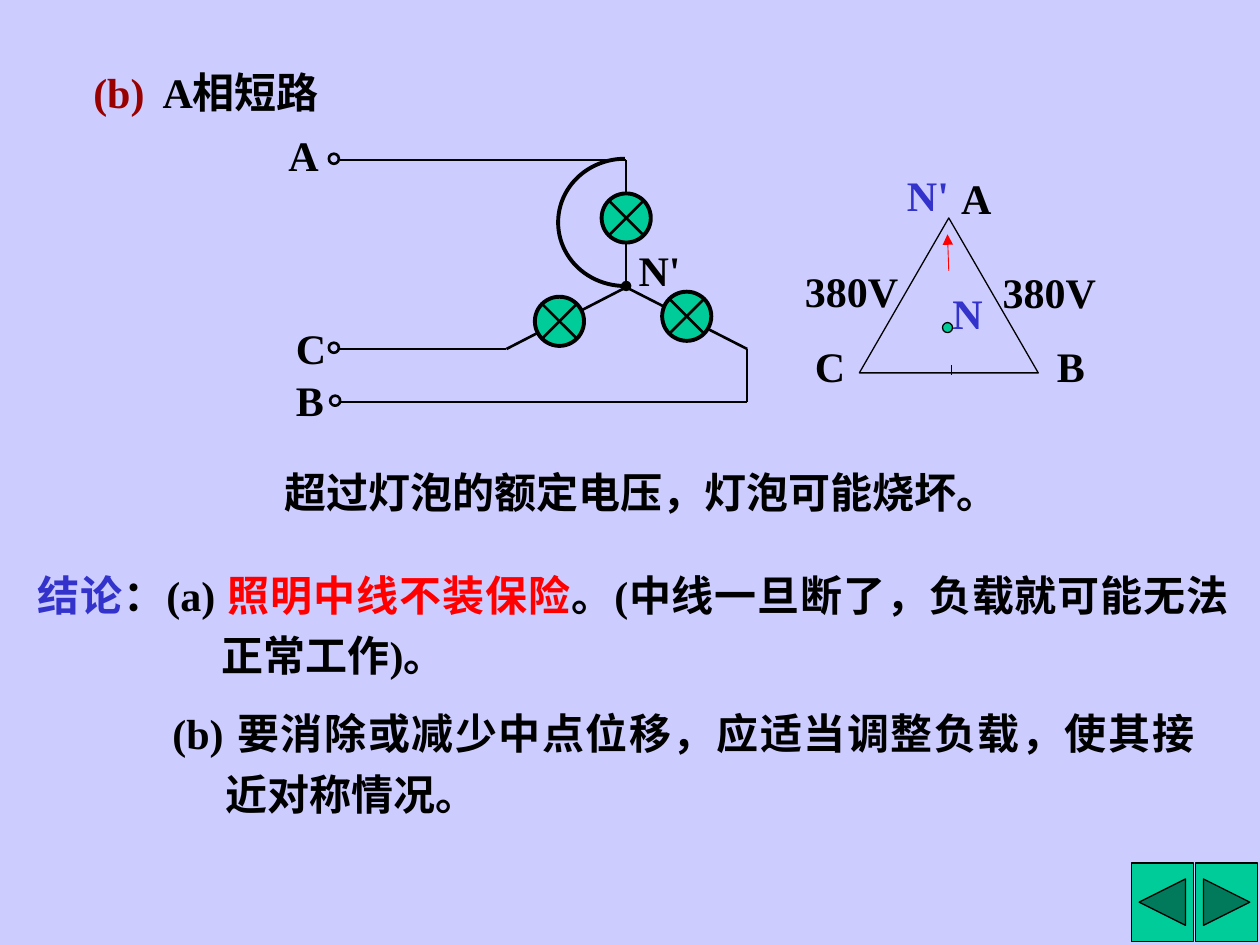
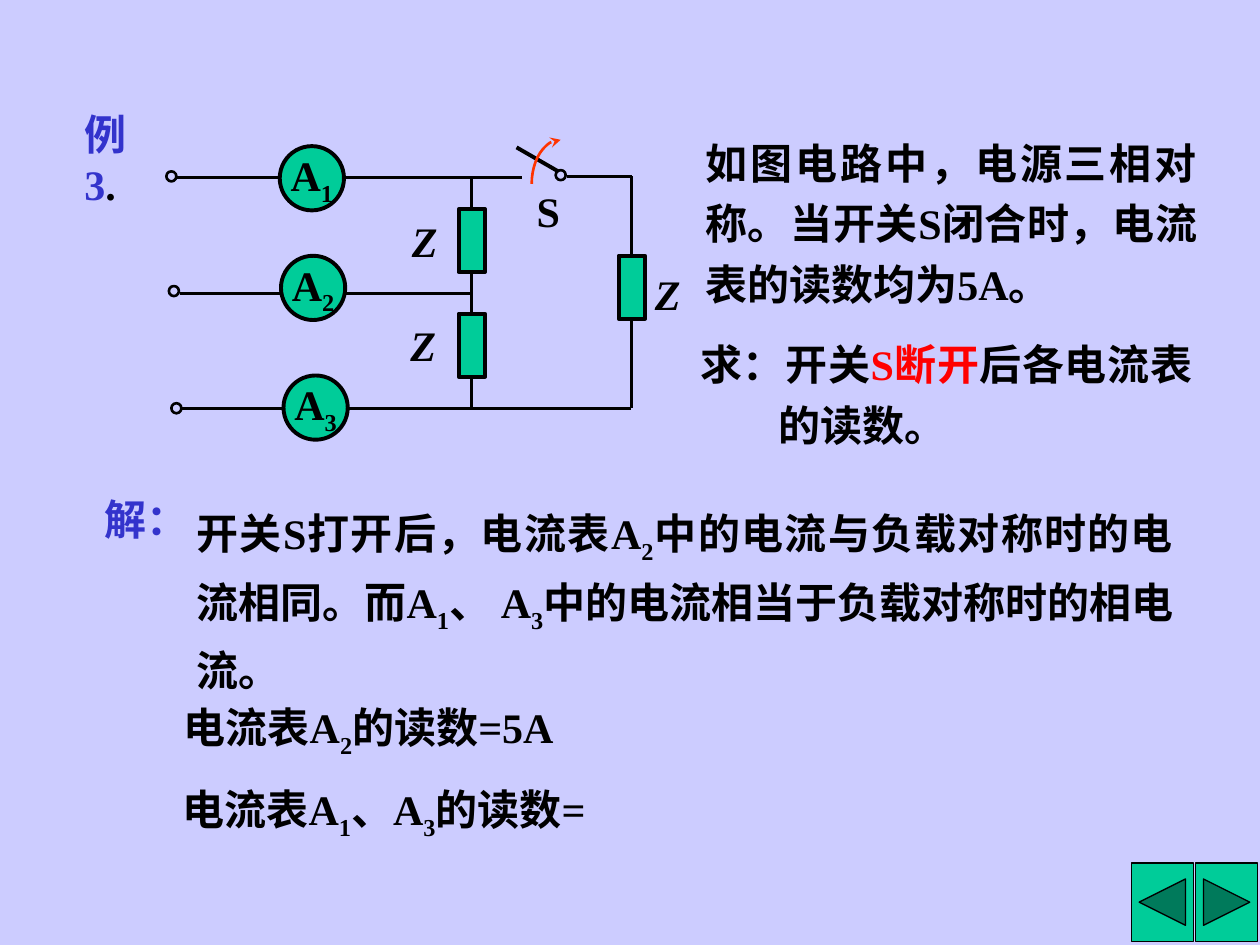
from lxml import etree
from pptx import Presentation
from pptx.dml.color import RGBColor
from pptx.enum.shapes import MSO_CONNECTOR, MSO_SHAPE
from pptx.enum.text import MSO_ANCHOR, MSO_AUTO_SIZE, PP_ALIGN
from pptx.oxml.ns import qn
from pptx.util import Inches, Pt

ELLIPSE = MSO_SHAPE.OVAL
RECTANGLE = MSO_SHAPE.RECTANGLE
TRIANGLE = MSO_SHAPE.ISOSCELES_TRIANGLE
ARC = MSO_SHAPE.ARC
BACK = MSO_SHAPE.ACTION_BUTTON_BACK_OR_PREVIOUS
FORWARD = MSO_SHAPE.ACTION_BUTTON_FORWARD_OR_NEXT
STRAIGHT = MSO_CONNECTOR.STRAIGHT
LEFT, CENTER, JUSTIFY = PP_ALIGN.LEFT, PP_ALIGN.CENTER, PP_ALIGN.JUSTIFY
TOP, MIDDLE = MSO_ANCHOR.TOP, MSO_ANCHOR.MIDDLE
GROW, FIXED = MSO_AUTO_SIZE.SHAPE_TO_FIT_TEXT, MSO_AUTO_SIZE.NONE
TITLE_ONLY = 5

COLORS = {
    "background": "CCCCFF", "green": "00CC99", "ink": "000000", "blue": "3333CC",
    "red": "FF0000", "maroon": "990000", "orange": "FF3300",
}
FONT = {"name": "Times New Roman", "size": Pt(24), "bold": True}
LABEL_HEIGHT = 0.5
TERMINAL = 0.08
LAMP = 0.39
LAMP_CROSS = 0.135
AMMETER = 0.51
LOAD_SIZE = (0.21, 0.5)

NAVIGATION = [(BACK, 8.98), (FORWARD, 9.49)]

SHORT_CIRCUIT = {
    "title": ((0.64, 0.48, 2.02, 0.5), [("(b)", "maroon"), ("\tA相短路", "ink")], 0.55),
    "labels": [
        ("380V", 6.29, 2.06, 0.94, "ink"), ("380V", 7.86, 2.07, 0.94, "ink"),
        ("A", 7.53, 1.32, 0.44, "ink"), ("B", 8.29, 2.65, 0.42, "ink"),
        ("C", 6.37, 2.65, 0.44, "ink"), ("N'", 7.1, 1.3, 0.53, "blue"),
        ("N", 7.46, 2.23, 0.44, "blue"), ("N'", 4.97, 1.89, 0.53, "ink"),
        ("A", 2.19, 0.98, 0.44, "ink"), ("C", 2.25, 2.51, 0.44, "ink"),
        ("B", 2.25, 2.92, 0.42, "ink"),
        ("超过灯泡的额定电压，灯泡可能烧坏。", 2.16, 3.65, 5.87, "ink"),
    ],
    "wires": [
        (4.97, 2.28, 5.93, 2.77), (4.02, 2.77, 4.97, 2.28), (4.97, 1.27, 2.7, 1.27),
        (5.93, 3.19, 2.69, 3.19), (5.93, 2.77, 5.93, 3.19), (4.02, 2.77, 2.69, 2.77),
    ],
    "terminals": [(2.61, 1.22), (2.61, 2.72), (2.62, 3.14)],
    "paragraphs": [
        ((0.2, 4.39, 9.65, 1.06), 1.46, [
            ("结论", "blue"), ("：(a) ", "ink"), ("照明中线不装保险", "red"),
            ("。(中线一旦断了，负载就可能无法正常工作)。", "ink")]),
        ((1.27, 5.49, 8.31, 1.06), 0.42, [
            ("(b) 要消除或减少中点位移，应适当调整负载，使其接近对称情况。", "ink")]),
    ],
}
LAMP_CENTERS = [(4.97, 1.73), (5.45, 2.51), (4.44, 2.55)]

EXAMPLE = {
    "title": ((0.57, 0.81, 0.78, 0.5), [("例3", "blue"), (".", "ink")], None),
    "labels": [
        ("Z", 3.17, 1.66, 0.4, "italic"), ("Z", 3.16, 2.49, 0.4, "italic"),
        ("Z", 5.1, 2.08, 0.4, "italic"), ("S", 4.16, 1.42, 0.39, "ink"),
        ("解：", 0.73, 3.87, 0.87, "blue"),
    ],
    "wires": [
        (3.74, 1.41, 3.74, 3.24), (1.4, 1.41, 4.14, 1.41), (1.43, 2.33, 3.74, 2.33),
        (1.44, 3.24, 5.01, 3.24), (5.01, 1.4, 5.01, 3.24), (4.5, 1.4, 5.02, 1.4),
    ],
    "terminals": [(1.32, 1.36), (1.34, 2.27), (1.36, 3.2), (4.41, 1.35)],
    "paragraphs": [
        ((5.5, 0.96, 4.1, 1.54), 0, [
            ("如图电路中，电源三相对称。当开关S闭合时，电流表的读数均为5A。", "ink")]),
        ((5.46, 2.56, 4.1, 1.06), 0.62, [
            ("求：开关", "ink"), ("S断开", "red"), ("后各电流表的读数。", "ink")]),
        ((1.46, 3.89, 7.95, 1.54), 0, [
            ("开关S打开后，电流表A", "ink"), ("2", "subscript"),
            ("中的电流与负载对称时的电流相同。而A", "ink"), ("1", "subscript"),
            ("、 A", "ink"), ("3", "subscript"),
            ("中的电流相当于负载对称时的相电流。", "ink")]),
        ((1.36, 5.43, 3.49, 0.58), 0, [
            ("电流表A", "ink"), ("2", "subscript"), ("的读数=5A", "ink")]),
        ((1.35, 6.08, 3.49, 0.58), 0, [
            ("电流表A", "ink"), ("1", "subscript"), ("、A", "ink"),
            ("3", "subscript"), ("的读数=", "ink")]),
    ],
}
LOADS = [(3.64, 2.49), (4.91, 2.03), (3.64, 1.66)]
AMMETERS = [("1", 2.22, 1.16), ("2", 2.23, 2.03), ("3", 2.25, 2.98)]


def color(name):
    return RGBColor.from_string(COLORS[name])


def set_format(target, values):
    for name, value in values.items():
        setattr(target, name, value)


def write_runs(paragraph, runs):
    for text, style in runs:
        run = paragraph.add_run()
        run.text = text
        set_format(run.font, FONT)
        run.font.color.rgb = color(style if style in COLORS else "ink")
        if style == "italic":
            run.font.italic = True
        if style == "subscript":
            run.font._element.set("baseline", "-25000")


def add_text(slide, box, runs, wrap=True, indent=0, **paragraph_format):
    shape = slide.shapes.add_textbox(*map(Inches, box))
    set_format(shape.text_frame, {"word_wrap": wrap, "auto_size": GROW})
    paragraph = shape.text_frame.paragraphs[0]
    set_format(paragraph, paragraph_format)
    if indent:
        properties = paragraph._p.get_or_add_pPr()
        properties.set("marL", str(Inches(indent)))
        properties.set("indent", str(-Inches(indent)))
    write_runs(paragraph, runs)


def add_shape(slide, kind, box, fill=None, width=0.75, line="ink"):
    shape = slide.shapes.add_shape(kind, *map(Inches, box))
    shape.shadow.inherit = False
    if fill:
        shape.fill.solid()
        shape.fill.fore_color.rgb = color(fill)
    else:
        shape.fill.background()
    shape.line.color.rgb = color(line)
    shape.line.width = Pt(width)
    return shape


def add_tail(shape, kind):
    etree.SubElement(shape.element.spPr.get_or_add_ln(), qn("a:tailEnd"), type=kind)


def add_line(slide, ends, width=1.5, line="ink", tail=None):
    connector = slide.shapes.add_connector(STRAIGHT, *map(Inches, ends))
    connector.line.color.rgb = color(line)
    connector.line.width = Pt(width)
    if tail:
        add_tail(connector, tail)
    etree.SubElement(connector.element.spPr, qn("a:effectLst"))


def add_arc(slide, box, start, end, width, line="ink"):
    arc = add_shape(slide, ARC, box, width=width, line=line)
    for index, degrees in enumerate((start, end)):
        arc.adjustments[index] = degrees * 0.6
    return arc


def add_title(slide, box, runs, tab):
    title = slide.shapes.title
    places = dict(zip(("left", "top", "width", "height"), map(Inches, box)))
    set_format(title, places)
    set_format(title.text_frame, {
        "word_wrap": True, "auto_size": FIXED, "vertical_anchor": TOP})
    paragraph = title.text_frame.paragraphs[0]
    paragraph.alignment = LEFT
    if tab:
        tabs = etree.SubElement(paragraph._p.get_or_add_pPr(), qn("a:tabLst"))
        etree.SubElement(tabs, qn("a:tab"), pos=str(Inches(tab)), algn="l")
    write_runs(paragraph, runs)


def add_content(presentation, content):
    slide = presentation.slides.add_slide(presentation.slide_layouts[TITLE_ONLY])
    add_title(slide, *content["title"])
    for ends in content["wires"]:
        add_line(slide, ends)
    for left, top in content["terminals"]:
        add_shape(slide, ELLIPSE, (left, top, TERMINAL, TERMINAL), width=1.5)
    for text, left, top, width, style in content["labels"]:
        add_text(slide, (left, top, width, LABEL_HEIGHT), [(text, style)], wrap=False)
    for box, indent, runs in content["paragraphs"]:
        add_text(slide, box, runs, indent=indent, alignment=JUSTIFY, line_spacing=1.2)
    return slide


def draw_lamp(slide, x, y):
    add_shape(slide, ELLIPSE, (x - LAMP / 2, y - LAMP / 2, LAMP, LAMP), "green", 2.25)
    for slope in (1, -1):
        rise = LAMP_CROSS * slope
        add_line(slide, (x - LAMP_CROSS, y - rise, x + LAMP_CROSS, y + rise))


def draw_short_circuit(slide):
    add_line(slide, (4.97, 1.27, 4.97, 2.27), tail="oval")
    for center in LAMP_CENTERS:
        draw_lamp(slide, *center)
    add_arc(slide, (4.43, 1.26, 1.06, 1.01), 90, 270, 2.25)
    add_shape(slide, TRIANGLE, (6.82, 1.73, 1.42, 1.23))
    add_line(slide, (7.55, 2.9, 7.55, 2.98), 0.75)
    add_shape(slide, ELLIPSE, (7.48, 2.56, 0.08, 0.08), "green")
    add_line(slide, (7.53, 2.15, 7.52, 1.86), 0.5, "red", "triangle")


def draw_ammeter_circuit(slide):
    for position in LOADS:
        add_shape(slide, RECTANGLE, position + LOAD_SIZE, "green", 2.25)
    for number, left, top in AMMETERS:
        ammeter = add_shape(slide, ELLIPSE, (left, top, AMMETER, AMMETER), "green", 2.25)
        set_format(ammeter.text_frame, {"word_wrap": False, "vertical_anchor": MIDDLE})
        paragraph = ammeter.text_frame.paragraphs[0]
        paragraph.alignment = CENTER
        write_runs(paragraph, [("A", "ink"), (number, "subscript")])
    add_line(slide, (4.43, 1.36, 4.1, 1.17), 2.25)
    add_tail(add_arc(slide, (4.22, 1.11, 0.46, 0.7), 180, 270, 1.5, "orange"), "stealth")


def set_master(presentation, slide):
    master = presentation.slide_master
    master.background.fill.solid()
    master.background.fill.fore_color.rgb = color("background")
    for number, (kind, left) in enumerate(NAVIGATION, 100):
        button = add_shape(slide, kind, (left, 6.85, 0.49, 0.62), "green")
        button.element.nvSpPr.cNvPr.set("id", str(number))
        master.shapes.element.append(button.element)


def main():
    presentation = Presentation()
    presentation.slide_width, presentation.slide_height = Inches(10), Inches(7.5)
    first_slide = add_content(presentation, SHORT_CIRCUIT)
    set_master(presentation, first_slide)
    draw_short_circuit(first_slide)
    draw_ammeter_circuit(add_content(presentation, EXAMPLE))
    presentation.save("out.pptx")


if __name__ == "__main__":
    main()
